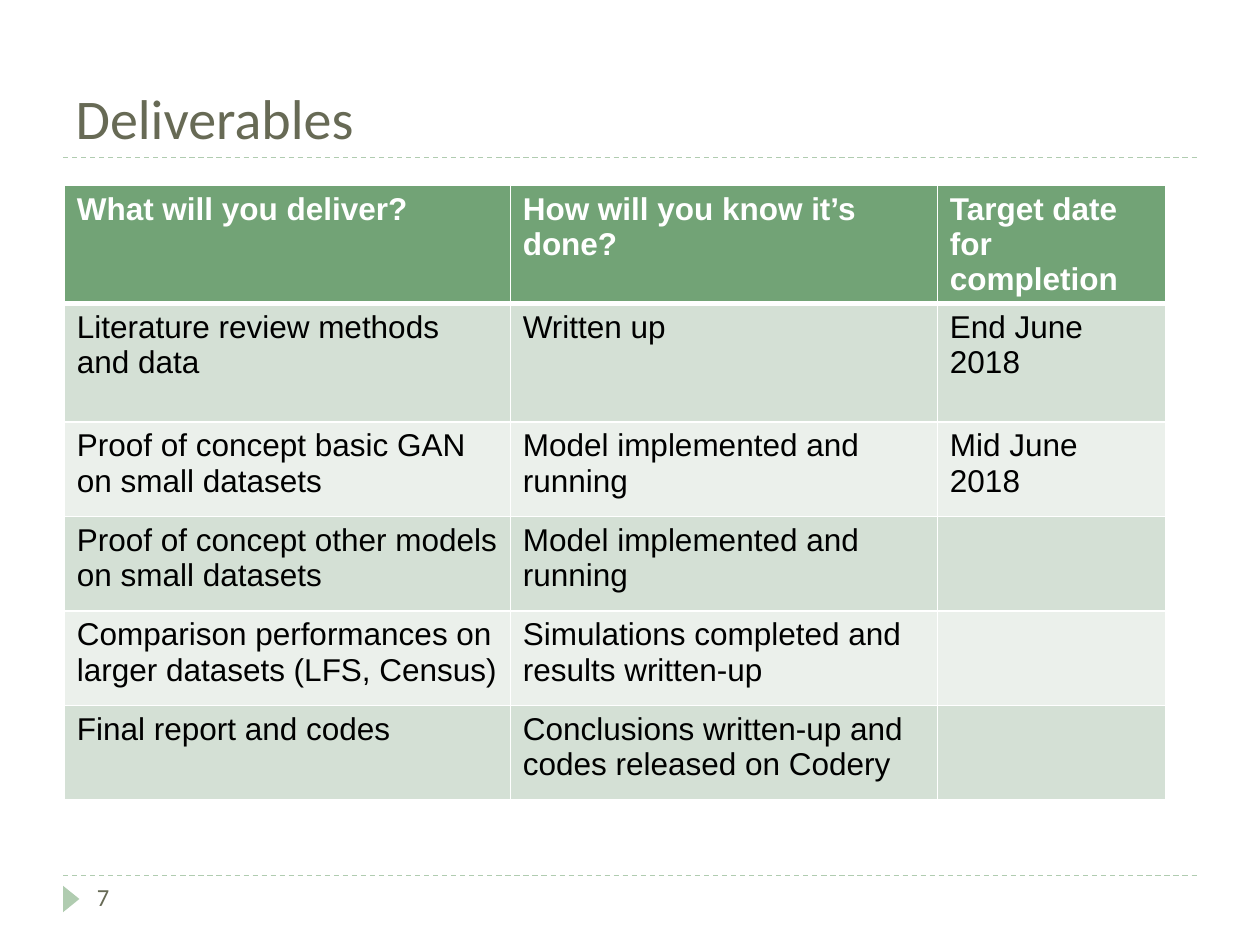
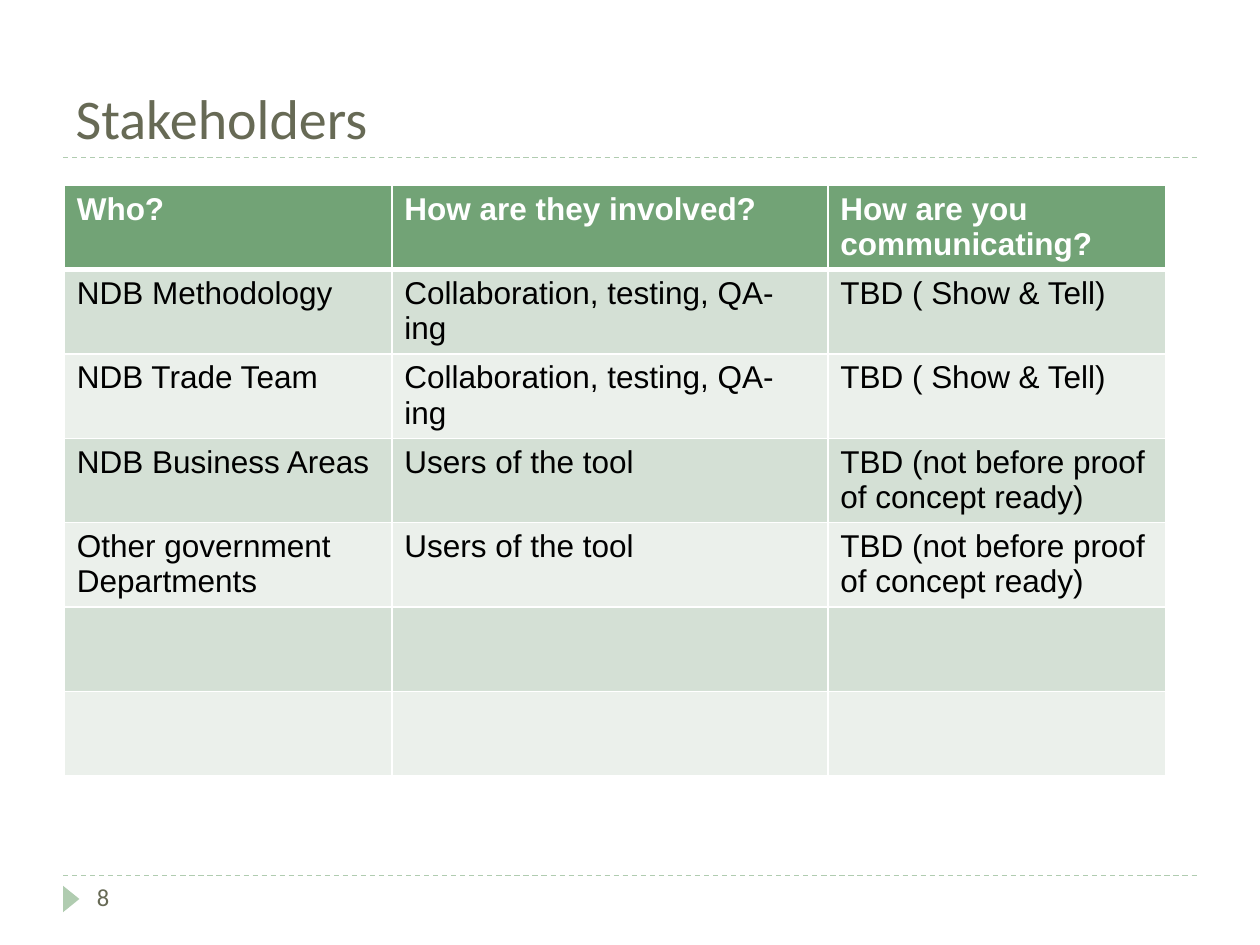
"""Build two project-planning slides, each a titled table."""
from dataclasses import dataclass

from lxml import etree
from pptx import Presentation
from pptx.dml.color import RGBColor
from pptx.enum.dml import MSO_LINE
from pptx.enum.shapes import MSO_CONNECTOR, MSO_SHAPE
from pptx.enum.text import MSO_ANCHOR, MSO_AUTO_SIZE, PP_ALIGN
from pptx.oxml.ns import qn
from pptx.slide import Slide
from pptx.text.text import TextFrame
from pptx.util import Inches, Pt

DASH = MSO_LINE.DASH
STRAIGHT = MSO_CONNECTOR.STRAIGHT
TRIANGLE = MSO_SHAPE.ISOSCELES_TRIANGLE
BOTTOM, TOP = MSO_ANCHOR.BOTTOM, MSO_ANCHOR.TOP
NO_FIT = MSO_AUTO_SIZE.NONE
LEFT = PP_ALIGN.LEFT

OLIVE = RGBColor(0x67, 0x6A, 0x55)
SAGE = RGBColor(0xB0, 0xCC, 0xB0)
GREEN = RGBColor(0x72, 0xA3, 0x76)
BANDS = (RGBColor(0xD4, 0xE0, 0xD5), RGBColor(0xEB, 0xF0, 0xEB))
WHITE = RGBColor(0xFF, 0xFF, 0xFF)
BLACK = RGBColor(0, 0, 0)

HEADING_FONT, TABLE_FONT = "Calibri", "Arial"
TITLE_ONLY = 5

WIDTH, HEIGHT = Inches(10), Inches(7.5)
MARGIN = 0.05 * WIDTH
CONTENT_WIDTH = WIDTH - 2 * MARGIN
TITLE_RULE = Inches(1.25)
FOOTER_RULE = Inches(6.95)
TABLE_LEFT, TABLE_TOP = Inches(0.51), Inches(1.47)
THIN, THICK = Pt(1), Pt(3)


@dataclass(frozen=True)
class TablePage:
    """One slide: its number, title and table, with sizes in inches."""
    number: int
    title: str
    columns: tuple[float, ...]
    row_heights: tuple[float, ...]
    rows: tuple[tuple[str, ...], ...]


PAGES = (
    TablePage(
        7, "Deliverables", (3.54, 3.39, 1.81), (0.94,) * 2 + (0.75,) * 4,
        (
            ("What will you deliver?", "How will you know it’s done?",
             "Target date for completion"),
            ("Literature review methods and data", "Written up",
             "End June 2018"),
            ("Proof of concept basic GAN on small datasets",
             "Model implemented and running", "Mid June 2018"),
            ("Proof of concept other models on small datasets",
             "Model implemented and running", ""),
            ("Comparison performances on larger datasets (LFS, Census)",
             "Simulations completed and results written-up", ""),
            ("Final report and codes",
             "Conclusions written-up and codes released on Codery", ""),
        ),
    ),
    TablePage(
        8, "Stakeholders", (2.6, 3.46, 2.68), (0.67,) * 7,
        (
            ("Who?", "How are they involved?", "How are you communicating?"),
            ("NDB Methodology", "Collaboration, testing, QA-ing",
             "TBD ( Show & Tell)"),
            ("NDB Trade Team", "Collaboration, testing, QA-ing",
             "TBD ( Show & Tell)"),
            ("NDB Business Areas", "Users of the tool",
             "TBD (not before proof of concept ready)"),
            ("Other government Departments", "Users of the tool",
             "TBD (not before proof of concept ready)"),
            ("", "", ""),
            ("", "", ""),
        ),
    ),
)


def write(frame: TextFrame, text: str, *, size: float, color: RGBColor,
          font: str, bold: bool = False) -> None:
    """Put one left-aligned, formatted line of text into a frame."""
    para = frame.paragraphs[0]
    para.alignment = LEFT
    span = para.add_run()
    span.text = text
    span.font.size = Pt(size)
    span.font.name = font
    span.font.bold = bold
    span.font.color.rgb = color


def draw_rule(slide: Slide, top: int) -> None:
    """Draw a dashed line across the content width."""
    rule = slide.shapes.add_connector(
        STRAIGHT, int(MARGIN), top, int(WIDTH - MARGIN), top)
    rule.line.color.rgb = SAGE
    rule.line.width = Pt(0.75)
    rule.line.dash_style = DASH
    etree.SubElement(rule._element.spPr, qn("a:effectLst"))


def draw_title(slide: Slide, text: str) -> None:
    """Place the title so that it rests on the upper rule."""
    title = slide.shapes.title
    height = Inches(1.08)
    title.left, title.top = int(MARGIN), TITLE_RULE - height
    title.width, title.height = int(CONTENT_WIDTH), height
    frame = title.text_frame
    frame.vertical_anchor = BOTTOM
    frame.auto_size = NO_FIT
    frame.word_wrap = True
    write(frame, text, size=32, color=OLIVE, font=HEADING_FONT)


def draw_footer(slide: Slide, number: int) -> None:
    """Draw the pointer and the page number under the lower rule."""
    pointer = slide.shapes.add_shape(
        TRIANGLE, Inches(0.46), Inches(7.07), Inches(0.21), Inches(0.13))
    pointer.rotation = 90
    pointer.shadow.inherit = False
    pointer.fill.solid()
    pointer.fill.fore_color.rgb = SAGE
    pointer.line.fill.background()
    box = slide.shapes.add_textbox(
        Inches(0.67), FOOTER_RULE, Inches(2.17), Inches(0.4))
    box.text_frame.word_wrap = True
    box.text_frame.vertical_anchor = TOP
    write(box.text_frame, str(number), size=14, color=OLIVE, font=HEADING_FONT)


def set_borders(cell, *, top: int = THIN, bottom: int = THIN) -> None:
    """Give a table cell white borders; lines must precede its fill."""
    properties = cell._tc.get_or_add_tcPr()
    edges = (("a:lnL", THIN), ("a:lnR", THIN), ("a:lnT", top), ("a:lnB", bottom))
    for position, (tag, width) in enumerate(edges):
        line = etree.Element(qn(tag), w=str(int(width)))
        fill = etree.SubElement(line, qn("a:solidFill"))
        etree.SubElement(fill, qn("a:srgbClr"), val=str(WHITE))
        properties.insert(position, line)


def draw_table(slide: Slide, page: TablePage) -> None:
    """Draw the page's table: green header, then two alternating bands."""
    table = slide.shapes.add_table(
        len(page.rows), len(page.columns), TABLE_LEFT, TABLE_TOP,
        Inches(sum(page.columns)), Inches(sum(page.row_heights))).table
    for column, width in zip(table.columns, page.columns):
        column.width = Inches(width)
    for row, height in zip(table.rows, page.row_heights):
        row.height = Inches(height)
    for row_index, texts in enumerate(page.rows):
        header = row_index == 0
        for column_index, text in enumerate(texts):
            cell = table.cell(row_index, column_index)
            cell.fill.solid()
            cell.fill.fore_color.rgb = (
                GREEN if header else BANDS[(row_index - 1) % len(BANDS)])
            set_borders(cell, top=THICK if row_index == 1 else THIN,
                        bottom=THICK if header else THIN)
            if text:
                write(cell.text_frame, text, size=18, font=TABLE_FONT,
                      color=WHITE if header else BLACK, bold=header)


def main() -> None:
    """Build and save the deck."""
    deck = Presentation()
    deck.slide_width, deck.slide_height = WIDTH, HEIGHT
    for page in PAGES:
        slide = deck.slides.add_slide(deck.slide_layouts[TITLE_ONLY])
        for top in (FOOTER_RULE, TITLE_RULE):
            draw_rule(slide, top)
        draw_title(slide, page.title)
        draw_table(slide, page)
        draw_footer(slide, page.number)
    deck.save("out.pptx")


main()
